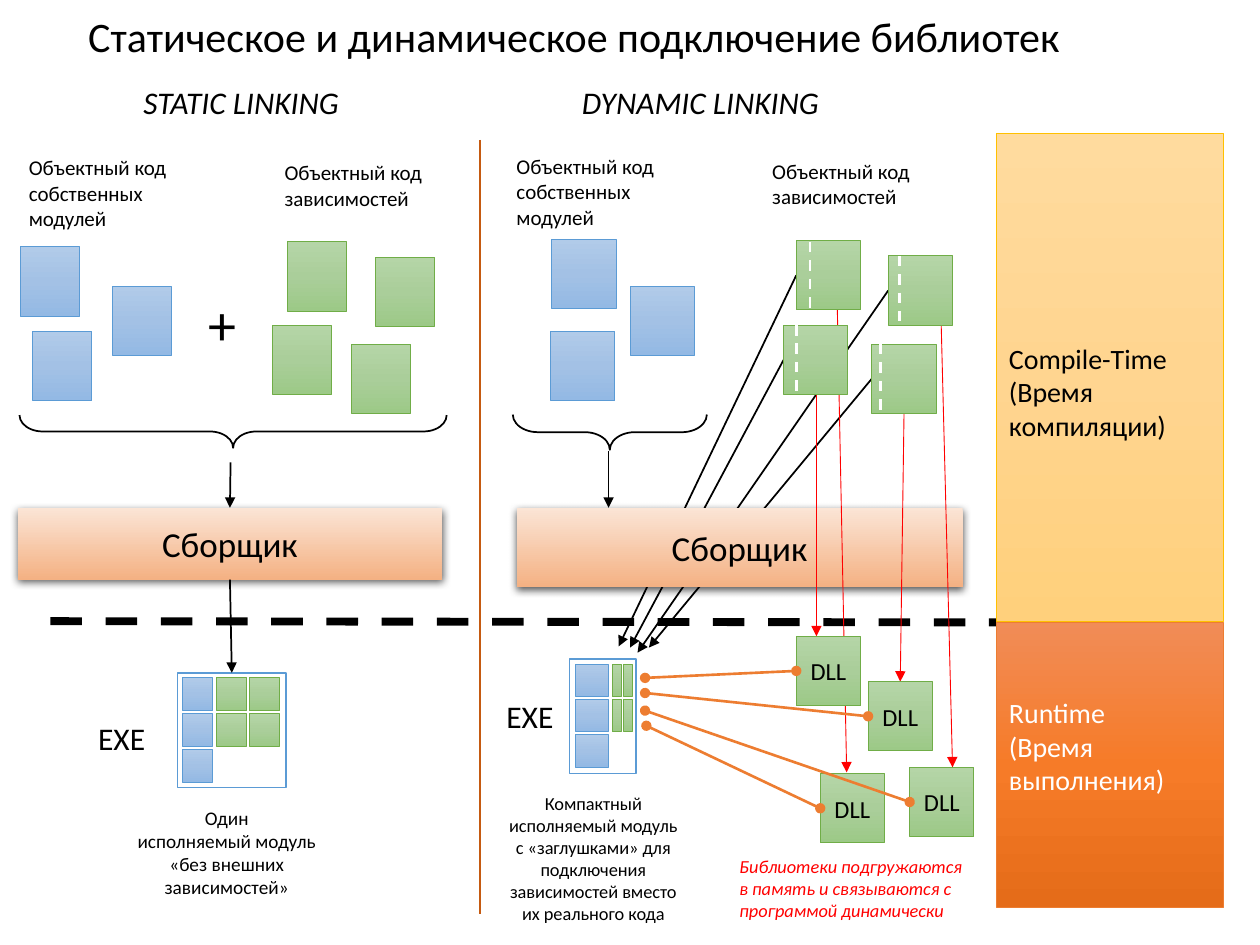
from copy import deepcopy

from lxml.etree import SubElement
from pptx import Presentation
from pptx.dml.color import RGBColor
from pptx.enum.dml import MSO_LINE
from pptx.enum.shapes import MSO_CONNECTOR, MSO_SHAPE as SHAPE
from pptx.enum.text import MSO_ANCHOR as ANCHOR, PP_ALIGN as ALIGN
from pptx.oxml.ns import qn
from pptx.util import Inches, Pt

FONT = "Calibri"
BLACK = RGBColor(0, 0, 0)
WHITE = RGBColor(255, 255, 255)
RED = RGBColor(255, 0, 0)
ORANGE = RGBColor(0xED, 0x7D, 0x31)
RUST = RGBColor(0xC5, 0x5A, 0x11)
GOLD = RGBColor(0xFF, 0xC0, 0x00)
BLUE = RGBColor(0x5B, 0x9B, 0xD5)
GREEN = RGBColor(0x70, 0xAD, 0x47)

BLUE_FADE = [RGBColor(0xB1, 0xCB, 0xE9), RGBColor(0xA3, 0xC1, 0xE5), RGBColor(0x93, 0xB9, 0xE4)]
GREEN_FADE = [RGBColor(0xB5, 0xD5, 0xA7), RGBColor(0xAA, 0xCE, 0x9A), RGBColor(0x9C, 0xC9, 0x87)]
GOLD_FADE = [RGBColor(0xFF, 0xDB, 0x9E), RGBColor(0xFF, 0xD5, 0x90), RGBColor(0xFF, 0xD0, 0x7C)]
ORANGE_FADE = [RGBColor(0xF1, 0x8C, 0x57), RGBColor(0xF6, 0x7B, 0x28), RGBColor(0xE5, 0x6C, 0x19)]
PEACH_FADE = [RGBColor(0xFB, 0xE5, 0xD6), RGBColor(0xF4, 0xB1, 0x83)]

OWN = (BLUE_FADE, BLUE)
DEPENDENCY = (GREEN_FADE, GREEN)
TOP, LEFT, BOTTOM = 0, 1, 2


def write(shape, text, size, color=BLACK, align=ALIGN.LEFT, anchor=ANCHOR.TOP, italic=False):
    frame = shape.text_frame
    frame.word_wrap = True
    frame.vertical_anchor = anchor
    frame.text = text
    for para in frame.paragraphs:
        para.alignment = align
        for span in para.runs:
            span.font.name = FONT
            span.font.size = Pt(size)
            span.font.color.rgb = color
            span.font.italic = italic


def add_label(page, at, text, size, **style):
    box = page.shapes.add_textbox(*map(Inches, at))
    write(box, text, size, **style)
    return box


def fade(shape, colors):
    """Fill from top to bottom with evenly spread colours."""
    shape.fill.gradient()
    shape.fill.gradient_angle = 270
    stop_list = shape.element.spPr.find(".//" + qn("a:gsLst"))
    for _ in colors[2:]:
        stop_list.insert(1, deepcopy(stop_list[0]))
    for index, (stop, color) in enumerate(zip(shape.fill.gradient_stops, colors)):
        stop.color.rgb = color
        stop.position = index / (len(colors) - 1)


def add_box(page, at, colors, border=None, width=0.5):
    box = page.shapes.add_shape(SHAPE.RECTANGLE, *map(Inches, at))
    box.shadow.inherit = False
    if len(colors) > 1:
        fade(box, colors)
    else:
        box.fill.solid()
        box.fill.fore_color.rgb = colors[0]
    if border is None:
        box.line.fill.background()
    else:
        box.line.color.rgb = border
        box.line.width = Pt(width)
    return box


def add_modules(page, places, size, kind):
    return [add_box(page, (*place, *size), *kind) for place in places]


def add_line(page, start, end, color, width, dash=None, head=None, tail=None):
    line = page.shapes.add_connector(MSO_CONNECTOR.STRAIGHT, *map(Inches, (*start, *end)))
    line.line.color.rgb = color
    line.line.width = Pt(width)
    if dash:
        line.line.dash_style = dash
    properties = line.element.spPr
    outline = properties.find(qn("a:ln"))
    for tag, ending in (("a:headEnd", head), ("a:tailEnd", tail)):
        if ending:
            SubElement(outline, qn(tag), type=ending)
    SubElement(properties, qn("a:effectLst"))
    return line


def add_arrow(page, start, end, color=BLACK, width=1):
    return add_line(page, start, end, color, width, tail="triangle")


def add_brace(page, at):
    brace = page.shapes.add_shape(SHAPE.RIGHT_BRACE, *map(Inches, at))
    brace.rotation = 90
    brace.adjustments[0] = 0.71
    brace.fill.background()
    brace.line.color.rgb = BLACK
    brace.line.width = Pt(1)
    brace.shadow.inherit = False


def add_linker(page, at):
    box = add_box(page, at, PEACH_FADE)
    effects = box.element.spPr.find(qn("a:effectLst"))
    shadow = SubElement(effects, qn("a:outerShdw"), blurRad=str(Pt(4.5)), dist=str(Pt(1.5)),
                        dir="5400000", algn="ctr", rotWithShape="0")
    color = SubElement(shadow, qn("a:srgbClr"), val=str(BLACK))
    SubElement(color, qn("a:alpha"), val="63000")
    write(box, "Сборщик", 20, align=ALIGN.CENTER, anchor=ANCHOR.MIDDLE)
    return box


def add_stage(page, at, style, text, color, text_top):
    box = add_box(page, at, *style)
    write(box, text, 16, color)
    box.text_frame.margin_top = Inches(text_top)


def add_title(page, text):
    title = page.shapes.title
    title.left, title.top, title.width, title.height = map(Inches, (0.6, -0.05, 8.62, 0.71))
    write(title, text, 24, anchor=ANCHOR.MIDDLE)
    title.text_frame.paragraphs[0].line_spacing = 0.9


def add_static_side(page):
    add_label(page, (1.04, 0.61, 2.45, 0.4), "STATIC LINKING", 18, italic=True)
    add_label(page, (0.13, 1.18, 1.75, 0.71), "Объектный код собственных модулей", 12)
    add_label(page, (2.16, 1.22, 1.75, 0.5), "Объектный код зависимостей", 12)
    add_modules(page, [(0.16, 1.96), (0.26, 2.63), (0.89, 2.27)], (0.47, 0.55), OWN)
    add_modules(page, [(2.16, 2.58), (2.79, 2.73), (2.28, 1.92), (2.98, 2.04)],
                (0.47, 0.55), DEPENDENCY)
    add_label(page, (1.56, 2.25, 0.4, 0.64), "+", 32)
    add_brace(page, (1.72, 1.73, 0.26, 3.39))
    linker = add_linker(page, (0.14, 4.03, 3.37, 0.57))
    add_arrow(page, (1.83, 3.67), (1.83, 4.03)).end_connect(linker, TOP)

    # Executable holding all the code
    program = add_box(page, (1.41, 5.34, 0.86, 0.91), [WHITE], BLUE, 1)
    arrow = add_arrow(page, (1.83, 4.6), (1.84, 5.34))
    arrow.begin_connect(linker, BOTTOM)
    arrow.end_connect(program, TOP)
    rows = [5.38 + 0.285 * row for row in range(3)]
    add_modules(page, [(1.45, y) for y in rows], (0.24, 0.26), OWN)
    add_modules(page, [(x, y) for x in (1.72, 1.98) for y in rows[:2]], (0.24, 0.26), DEPENDENCY)
    add_label(page, (0.68, 5.66, 0.69, 0.4), "EXE", 18)
    add_label(page, (0.8, 6.35, 2, 0.66),
              "Один\nисполняемый модуль\n«без внешних зависимостей»", 11, align=ALIGN.CENTER)


def add_dynamic_side(page, stub_arrows):
    add_label(page, (4.52, 0.61, 2.45, 0.4), "DYNAMIC LINKING", 18, italic=True)
    add_label(page, (4, 1.17, 1.75, 0.71), "Объектный код собственных модулей", 12)
    add_label(page, (6.03, 1.21, 1.75, 0.5), "Объектный код зависимостей", 12)
    module_size = (0.51, 0.55)
    add_modules(page, [(4.38, 1.9), (4.37, 2.63), (5, 2.27)], module_size, OWN)
    add_brace(page, (4.7, 2.66, 0.28, 1.54))
    add_arrow(page, (4.83, 3.58), (4.83, 4.03))
    add_linker(page, (4.1, 4.03, 3.54, 0.63))

    # Loading of dependencies at run time
    loads = [add_arrow(page, start, end, RED, 0.5) for start, end in [
        ((6.48, 2.85), (6.48, 5.05)), ((6.64, 2.17), (6.72, 6.13)),
        ((7.17, 3.27), (7.14, 5.41)), ((7.47, 2.57), (7.56, 6.09))]]
    libraries = add_modules(page, [(6.32, 5.05), (6.89, 5.41), (7.22, 6.09), (6.51, 6.14)],
                            module_size, DEPENDENCY)
    for library in libraries:
        write(library, "DLL", 14, align=ALIGN.CENTER, anchor=ANCHOR.MIDDLE)

    # Dependency modules with their stubs cut off by a dashed line
    modules = add_modules(page, [(6.22, 2.58), (6.92, 2.73), (6.32, 1.91), (7.05, 2.03)],
                          module_size, DEPENDENCY)
    for arrow, module in zip(stub_arrows, modules):
        arrow.begin_connect(module, LEFT)
    loads[2].begin_connect(modules[1], BOTTOM)
    loads[2].end_connect(libraries[1], TOP)
    for x, y in [(6.43, 1.92), (6.32, 2.58), (7.14, 2.03), (6.99, 2.73)]:
        add_line(page, (x, y), (x, y + 0.55), WHITE, 1.5, MSO_LINE.DASH)

    # Links between the stubs and the libraries
    note = add_label(page, (5.77, 6.74, 2, 0.63),
                     "Библиотеки подгружаются в память и связываются с программой динамически",
                     10.5, color=RED, italic=True)
    note.fill.solid()
    note.fill.fore_color.rgb = WHITE
    starts = [(6.32, 5.33), (6.89, 5.68), (7.22, 6.37), (6.51, 6.41)]
    ends = [(5.12, 5.38), (5.12, 5.5), (5.12, 5.64), (5.13, 5.76)]
    for library, start, end in zip(libraries, starts, ends):
        link = add_line(page, start, end, ORANGE, 1.5, head="oval", tail="oval")
        link.begin_connect(library, LEFT)

    # Compact executable
    add_box(page, (4.52, 5.23, 0.53, 0.91), [WHITE], BLUE, 1)
    rows = [5.27 + 0.28 * row for row in range(3)]
    add_modules(page, [(4.57, y) for y in rows], (0.26, 0.26), OWN)
    add_modules(page, [(x, y) for x in (4.86, 4.95) for y in rows[:2]], (0.07, 0.26), DEPENDENCY)
    add_label(page, (3.92, 5.48, 0.69, 0.4), "EXE", 18)
    add_label(page, (3.91, 6.24, 1.6, 1.16),
              "Компактный исполняемый модуль с «заглушками» для подключения "
              "зависимостей вместо их реального кода", 10.5, align=ALIGN.CENTER)


def main():
    deck = Presentation()
    deck.slide_width, deck.slide_height = Inches(10), Inches(7.5)
    page = deck.slides.add_slide(deck.slide_layouts[5])
    add_title(page, "Статическое и динамическое подключение библиотек")

    # Stub arrows run behind everything else
    stub_arrows = [add_arrow(page, start, end) for start, end in [
        ((6.22, 2.85), (5, 5.14)), ((6.92, 3), (5.15, 5.14)),
        ((6.32, 2.18), (4.91, 5.13)), ((7.05, 2.3), (5.06, 5.18))]]

    # Stages and borders between the parts
    add_line(page, (0.4, 4.93), (7.91, 4.94), BLACK, 4.5, MSO_LINE.DASH)
    add_stage(page, (7.91, 1.06, 1.8, 3.87), (GOLD_FADE, GOLD),
              "Compile-Time\v(Время компиляции)", BLACK, 1.65)
    add_stage(page, (7.91, 4.94, 1.8, 2.26), (ORANGE_FADE, ORANGE),
              "Runtime\v(Время выполнения)", WHITE, 0.58)
    add_line(page, (3.81, 1.11), (3.81, 7.25), RUST, 1.5)

    add_static_side(page)
    add_dynamic_side(page, stub_arrows)
    deck.save("out.pptx")


if __name__ == "__main__":
    main()
